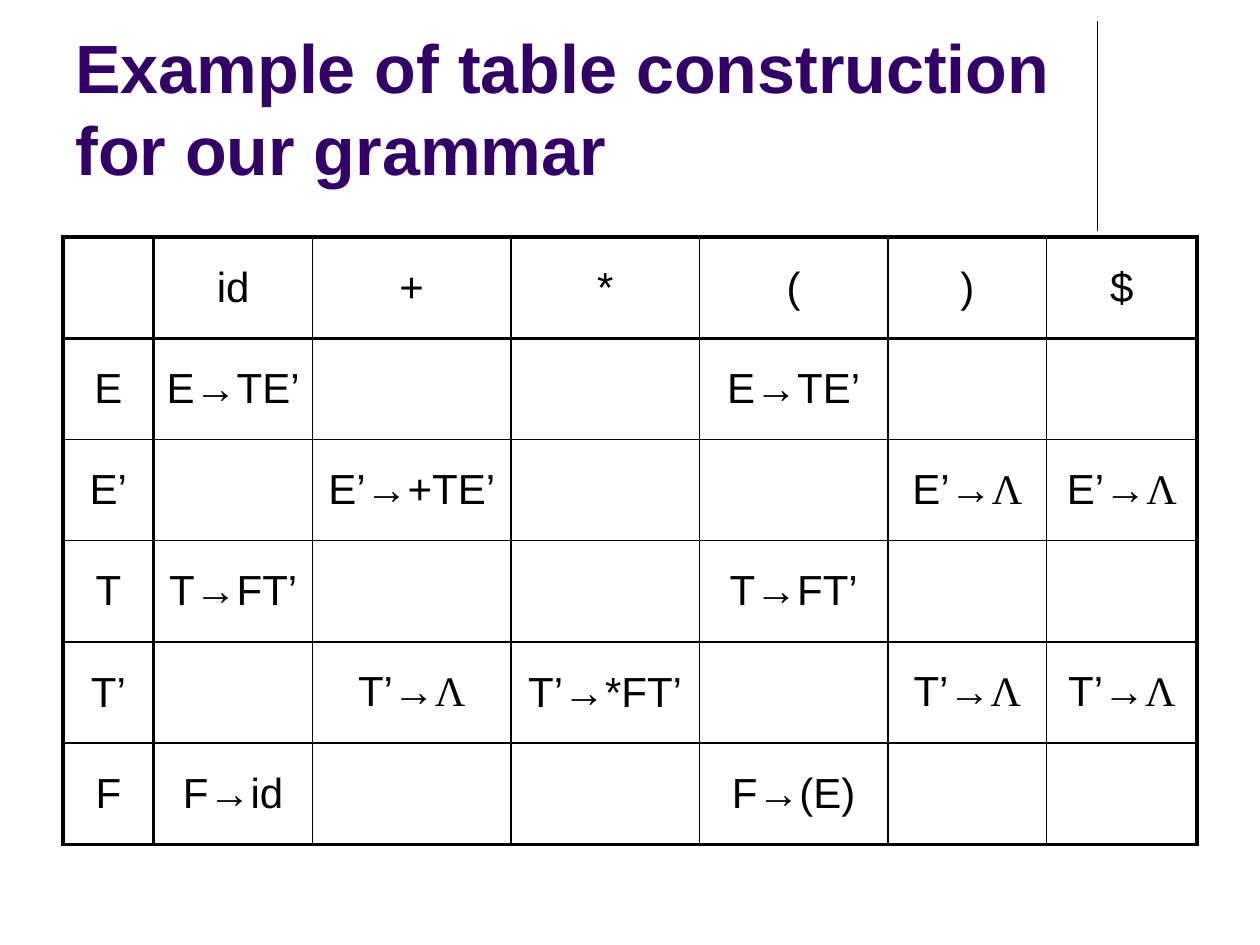
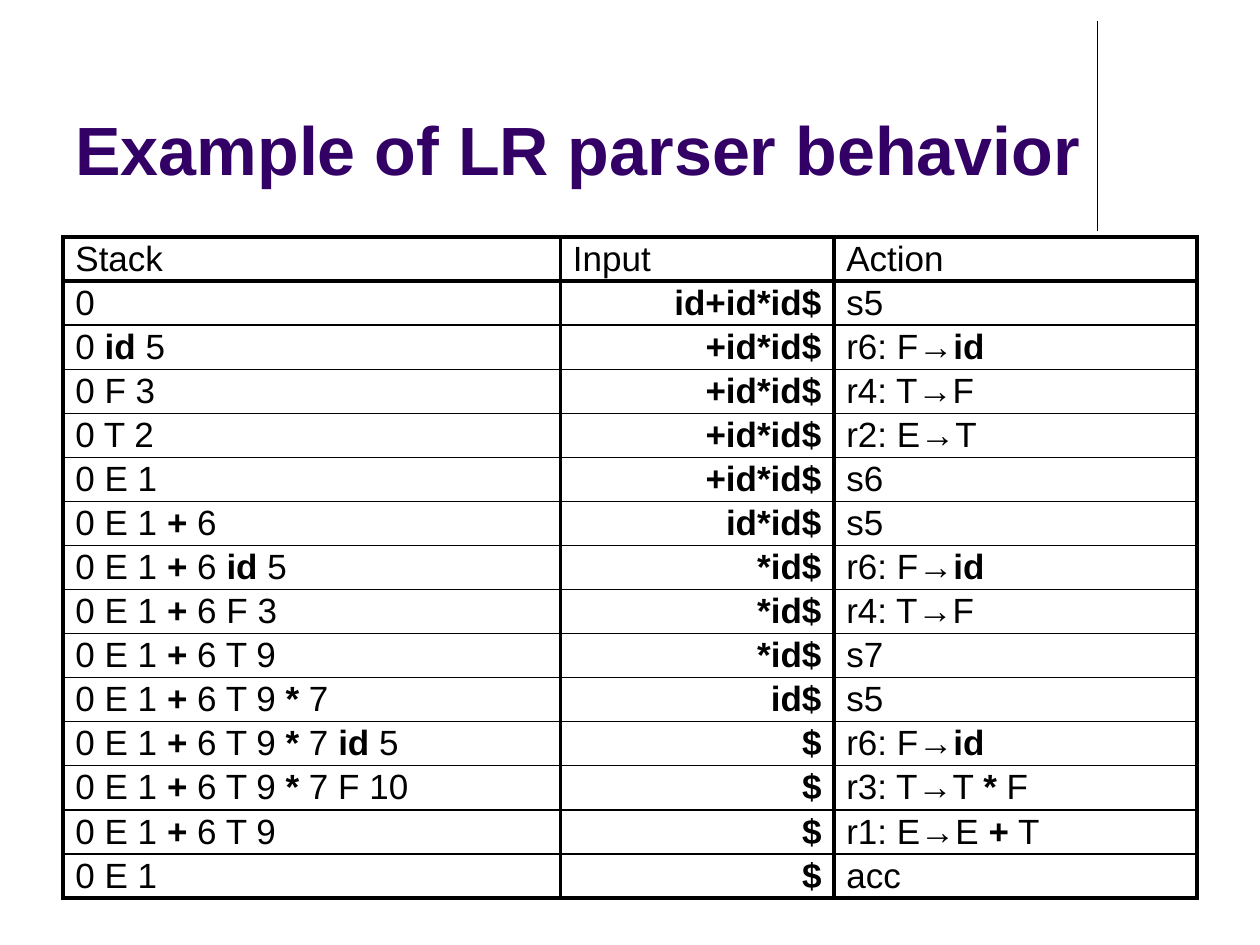
from dataclasses import dataclass

from lxml import etree
from pptx import Presentation
from pptx import util as u
from pptx.dml import color
from pptx.enum import shapes, text
from pptx.oxml import ns


@dataclass(frozen=True)
class Theme:
    title_color: str = "330066"
    ink: str = "000000"
    font: str = "Arial"
    symbol_font: str = "Times New Roman"
    title_size: float = 39
    grammar_size: float = 24
    trace_size: float = 20
    thin: float = 1
    thick: float = 2.25
    rule: float = 0.75


THEME = Theme()
LEFT, TABLE_TOP = 1.27, 4.78
CENTER, START, END = (text.PP_ALIGN.CENTER, text.PP_ALIGN.LEFT,
                      text.PP_ALIGN.RIGHT)

GRAMMAR_ROWS = [
    ("", "id", "+", "*", "(", ")", "$"),
    ("E", "E→TE’", "", "", "E→TE’", "", ""),
    ("E’", "", "E’→+TE’", "", "", "E’→`Λ`", "E’→`Λ`"),
    ("T", "T→FT’", "", "", "T→FT’", "", ""),
    ("T’", "", "T’→`Λ`", "T’→*FT’", "", "T’→`Λ`", "T’→`Λ`"),
    ("F", "F→id", "", "", "F→(E)", "", ""),
]

TRACE_ROWS = [
    ("Stack", "Input", "Action"),
    ("0", "`id+id*id$`", "s5"),
    ("0 `id` 5", "`+id*id$`", "r6: F→`id`"),
    ("0 F 3", "`+id*id$`", "r4: T→F"),
    ("0 T 2", "`+id*id$`", "r2: E→T"),
    ("0 E 1", "`+id*id$`", "s6"),
    ("0 E 1 `+` 6", "`id*id$`", "s5"),
    ("0 E 1 `+` 6 `id` 5", "`*id$`", "r6: F→`id`"),
    ("0 E 1 `+` 6 F 3", "`*id$`", "r4: T→F"),
    ("0 E 1 `+` 6 T 9", "`*id$`", "s7"),
    ("0 E 1 `+` 6 T 9 `*` 7", "`id$`", "s5"),
    ("0 E 1 `+` 6 T 9 `*` 7 `id` 5", "`$`", "r6: F→`id`"),
    ("0 E 1 `+` 6 T 9 `*` 7 F 10", "`$`", "r3: T→T `*` F"),
    ("0 E 1 `+` 6 T 9", "`$`", "r1: E→E `+` T"),
    ("0 E 1", "`$`", "acc"),
]


def set_attrs(obj, values):
    for name, value in values.items():
        setattr(obj, name, value)


def add_run(p, content, ink, fmt):
    r = p.add_run()
    r.text = content
    set_attrs(r.font, fmt)
    r.font.color.rgb = color.RGBColor.from_string(ink)


def add_marked_runs(p, content, base, marked):
    for i, part in enumerate(content.split("`")):
        if part:
            add_run(p, part, THEME.ink, {**base, **marked} if i % 2 else base)


def add_title(s, content):
    sp = s.shapes.add_textbox(u.Cm(LEFT), u.Cm(0.33), u.Cm(20.96), u.Cm(3.61))
    tf = sp.text_frame
    set_attrs(tf, {"word_wrap": True,
                   "vertical_anchor": text.MSO_ANCHOR.BOTTOM})
    add_run(tf.paragraphs[0], content, THEME.title_color,
            {"name": THEME.font, "size": u.Pt(THEME.title_size), "bold": True})


def add_side_rule(s):
    x = u.Cm(22.12)
    line = s.shapes.add_connector(shapes.MSO_CONNECTOR.STRAIGHT,
                                  x, u.Cm(0.43), x, u.Cm(4.65))
    line.line.width = u.Pt(THEME.rule)
    line.line.color.rgb = color.RGBColor.from_string(THEME.ink)
    etree.SubElement(line._element.spPr, ns.qn("a:effectLst"))


def set_borders(cell, widths):
    tc_pr = cell._tc.get_or_add_tcPr()
    for i, (side, width) in enumerate(widths.items()):
        ln = etree.Element(ns.qn(f"a:ln{side}"), w=str(u.Pt(width)))
        fill = etree.SubElement(ln, ns.qn("a:solidFill"))
        etree.SubElement(fill, ns.qn("a:srgbClr"), val=THEME.ink)
        tc_pr.insert(i, ln)


def add_grid(s, rows, widths, row_height, size, marked, aligns, heavy_columns,
             inset_x, inset_y):
    n_rows, n_cols = len(rows), len(widths)
    frame = s.shapes.add_table(n_rows, n_cols, u.Cm(LEFT), u.Cm(TABLE_TOP),
                               u.Cm(sum(widths)), u.Cm(row_height * n_rows))
    table = frame.table
    set_attrs(table, {"first_row": False, "horz_banding": False})
    for column, width in zip(table.columns, widths):
        column.width = u.Cm(width)

    def weight(edge, heavy):
        return THEME.thick if edge in heavy else THEME.thin

    heavy_rows = {0, 1, n_rows}
    base = {"name": THEME.font, "size": u.Pt(size), "bold": False}
    cell_format = {"margin_left": u.Cm(inset_x), "margin_right": u.Cm(inset_x),
                   "margin_top": u.Cm(inset_y), "margin_bottom": u.Cm(inset_y),
                   "vertical_anchor": text.MSO_ANCHOR.MIDDLE}
    for i, row in enumerate(rows):
        table.rows[i].height = u.Cm(row_height)
        for j, content in enumerate(row):
            cell = table.cell(i, j)
            set_attrs(cell, cell_format)
            cell.fill.background()
            set_borders(cell, {"L": weight(j, heavy_columns),
                               "R": weight(j + 1, heavy_columns),
                               "T": weight(i, heavy_rows),
                               "B": weight(i + 1, heavy_rows)})
            p = cell.text_frame.paragraphs[0]
            p.alignment = aligns[j] if i else aligns[0]
            p.font.size = u.Pt(size)
            add_marked_runs(p, content, base, marked)


def add_slide(prs, title):
    s = prs.slides.add_slide(prs.slide_layouts[6])
    add_side_rule(s)
    add_title(s, title)
    return s


def main():
    prs = Presentation()
    set_attrs(prs, {"slide_width": u.Cm(25.4), "slide_height": u.Cm(19.05)})

    s = add_slide(prs, "Example of table construction for our grammar")
    add_grid(s, GRAMMAR_ROWS, [1.83, 3.2, 4, 3.8, 3.8, 3.2, 3.03], 2.04,
             THEME.grammar_size, {"name": THEME.symbol_font}, [CENTER] * 7,
             {0, 1, 7}, inset_x=0.2, inset_y=0.13)

    s = add_slide(prs, "Example of LR parser behavior")
    add_grid(s, TRACE_ROWS, [10.03, 5.51, 7.32], 0.88,
             THEME.trace_size, {"bold": True}, [START, END, START],
             {0, 1, 2, 3}, inset_x=0.25, inset_y=0.02)

    prs.save("out.pptx")


if __name__ == "__main__":
    main()
